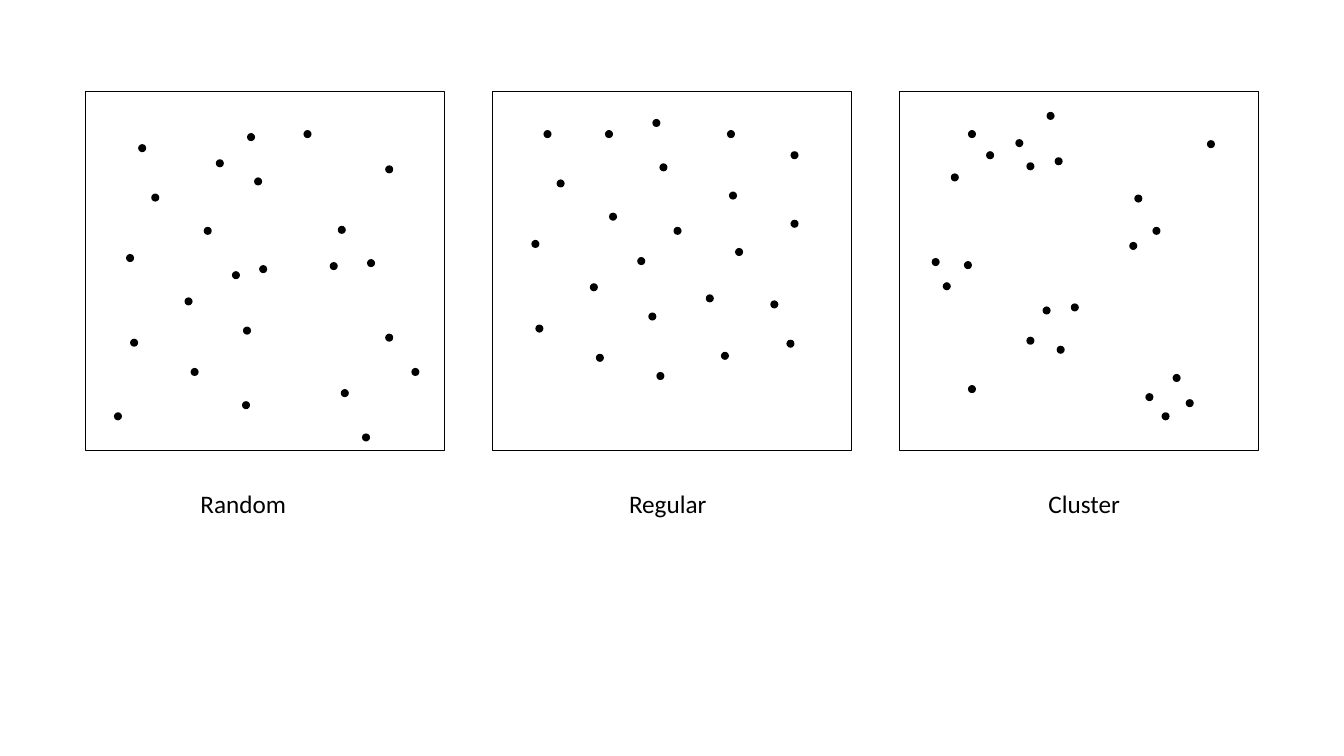
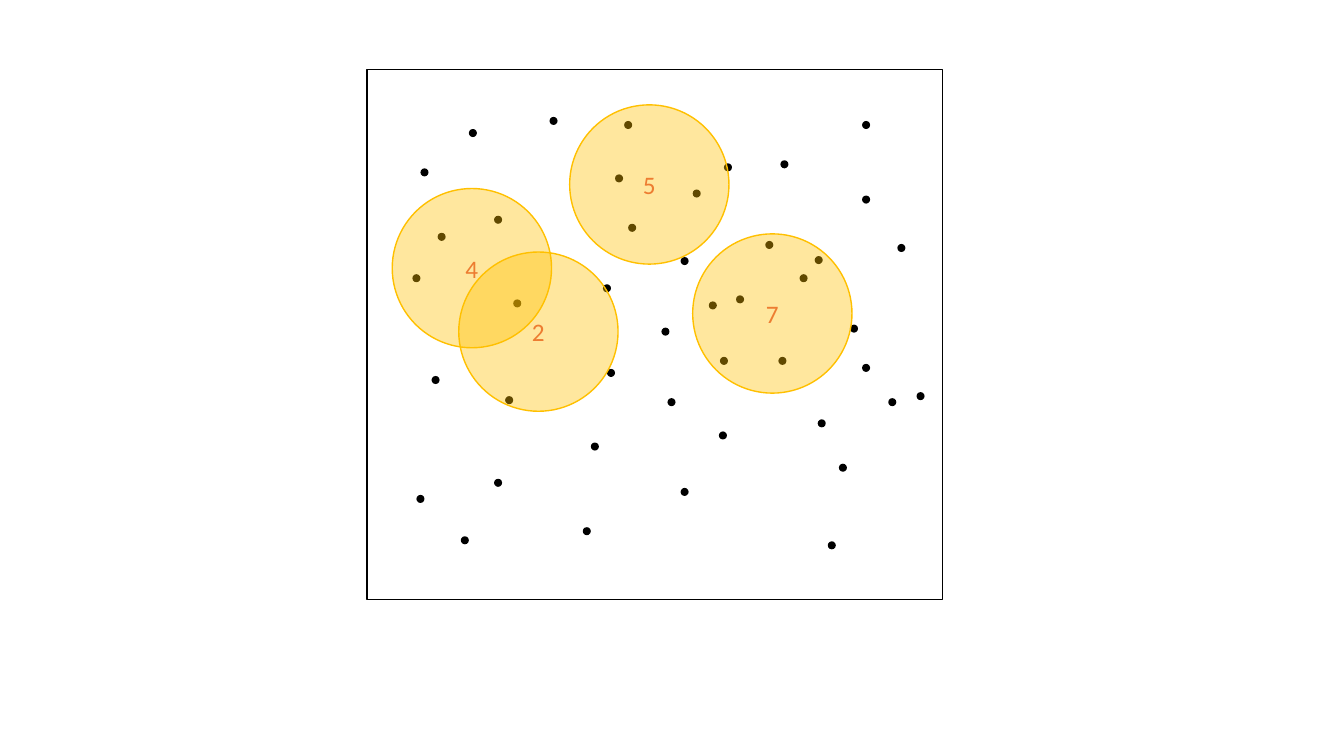
from lxml import etree
from pptx import Presentation
from pptx import util as u
from pptx.dml.color import RGBColor
from pptx.enum import shapes, text
from pptx.oxml.ns import qn

SCALE = 9144
BLACK, GOLD, ORANGE = "000000", "FFC000", "ED7D31"
FONT, SIZE = "Calibri", 18
DOT, SIDE, DISC = 8, 356, 158
LEFT, TOP, STEP = 85, 91, 403.5
LABEL_TOP, LABEL_HIGH = 480, 40
OVAL, RECT = shapes.MSO_SHAPE.OVAL, shapes.MSO_SHAPE.RECTANGLE

RANDOM = [
    (137, 143), (150, 192), (214, 158), (125, 252), (202, 225), (245, 132),
    (252, 176), (183, 295), (257, 263), (335, 224), (301, 129), (129, 336),
    (241, 324), (327, 260), (338, 386), (189, 365), (240, 398), (382, 164),
    (364, 257), (382, 331), (230, 269), (408, 365), (359, 430), (113, 409),
]

EVEN_SHIFT = (402, -14)
EVEN_MOVES = {
    2: (600, 129), 8: (668, 225), 9: (723, 190), 10: (721, 129),
    14: (700, 292), 16: (651, 369), 18: (784, 218), 19: (764, 298),
    21: (780, 337), 22: (715, 349),
}

CLUMPS = {
    (960, 129): [(-17, 43), (47, 9), (18, 21), (78, -18), (86, 27), (58, 32)],
    (924, 256): [(32, 3), (11, 24)],
    (1034, 304): [(-16, 30), (14, 39), (28, -3)],
    (1125, 193): [(-5, 47), (18, 32)],
    (1136, 390): [(27, -19), (40, 6), (16, 19)],
    (960, 382): [],
    (1197, 139): [],
}

FIELD_BOX = (364, 69, 571, 526)
FIELD_SHIFT = (473, 30)
FIELD_MOVES = {6: (490, 214), 13: (490, 475), 18: (855, 120)}
INSIDE = [
    (409, 272), (434, 231), (509, 297), (501, 393), (619, 120), (759, 239),
    (793, 272), (772, 354),
]
OUTSIDE = [
    (417, 167), (465, 128), (545, 116), (428, 373), (413, 491), (457, 532),
    (578, 523), (675, 484), (821, 537), (909, 389), (890, 242), (843, 322),
]
COUNTS = [("4", 389, 187), ("5", 565, 104), ("2", 455, 250), ("7", 687, 232)]


def shift(dots, by):
    return [(x + by[0], y + by[1]) for x, y in dots]


def adapt(dots, by, moves):
    return [moves.get(i, dot) for i, dot in enumerate(shift(dots, by))]


def gather(clumps):
    return [dot for seed, near in clumps.items()
            for dot in shift([(0, 0)] + near, seed)]


def px(n):
    return u.Emu(round(n * SCALE))


def paint(part, color):
    if color:
        part.solid()
        part.fore_color.rgb = RGBColor.from_string(color)
    else:
        part.background()


def shape(group, kind, x, y, w, h, fill=None, line=None):
    item = group.shapes.add_shape(kind, px(x), px(y), px(w), px(h))
    item.shadow.inherit = False
    paint(item.fill, fill)
    paint(item.line.fill, line)
    if line:
        item.line.width = u.Pt(1)
    return item


def write(item, words, color):
    run = item.text_frame.paragraphs[0].add_run()
    run.text = words
    run.font.name = FONT
    run.font.size = u.Pt(SIZE)
    run.font.color.rgb = RGBColor.from_string(color)


def fade(item, share):
    tint = item.fill._xPr.find(qn("a:solidFill"))[0]
    etree.SubElement(tint, qn("a:alpha"), val=str(share * 1000))


def plot(page, x, y, w, h, dots):
    group = page.shapes.add_group_shape()
    shape(group, RECT, x, y, w, h, line=BLACK)
    for left, top in dots:
        shape(group, OVAL, left, top, DOT, DOT, fill=BLACK)
    return group


def label(group, words, x, w):
    box = group.shapes.add_textbox(
        px(x), px(LABEL_TOP), px(w), px(LABEL_HIGH))
    box.text_frame.word_wrap = False
    box.text_frame.auto_size = text.MSO_AUTO_SIZE.SHAPE_TO_FIT_TEXT
    write(box, words, BLACK)


def disc(group, words, x, y):
    item = shape(group, OVAL, x, y, DISC, DISC, fill=GOLD, line=GOLD)
    fade(item, 38)
    item.text_frame.vertical_anchor = text.MSO_ANCHOR.MIDDLE
    item.text_frame.paragraphs[0].alignment = text.PP_ALIGN.CENTER
    write(item, words, ORANGE)


def draw_panels(page):
    even = adapt(RANDOM[:-1], EVEN_SHIFT, EVEN_MOVES)
    panels = [
        ("Random", 189, 106, RANDOM),
        ("Regular", 614, 98, even),
        ("Cluster", 1030, 92, gather(CLUMPS)),
    ]
    for i, (name, x, w, dots) in enumerate(panels):
        group = plot(page, LEFT + i * STEP, TOP, SIDE, SIDE, dots)
        label(group, name, x, w)


def draw_counts(page):
    dots = adapt(RANDOM, FIELD_SHIFT, FIELD_MOVES) + INSIDE + OUTSIDE
    group = plot(page, *FIELD_BOX, dots)
    for count, x, y in COUNTS:
        disc(group, count, x, y)


def main():
    deck = Presentation()
    deck.slide_width, deck.slide_height = u.Inches(13.33), u.Inches(7.5)
    blank = deck.slide_layouts[6]
    for draw in (draw_panels, draw_counts):
        draw(deck.slides.add_slide(blank))
    deck.save("out.pptx")


if __name__ == "__main__":
    main()
